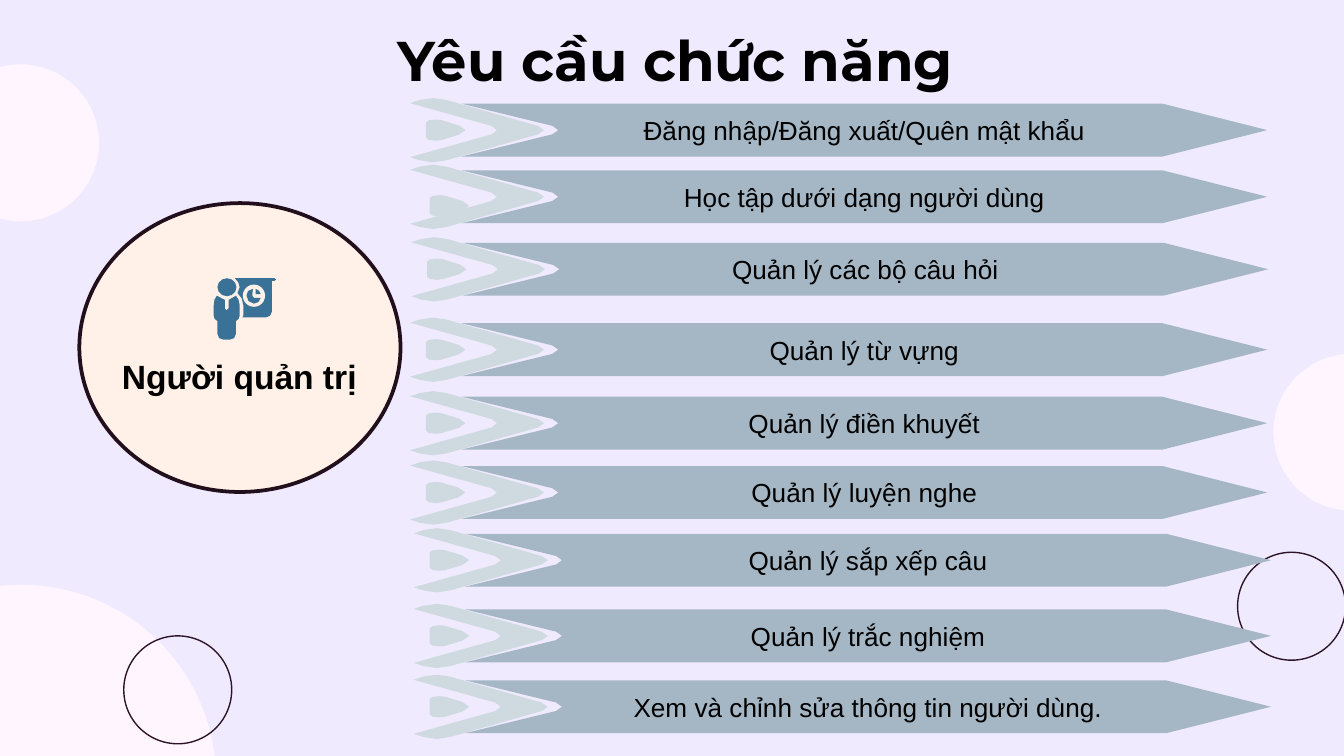
import pptx
import pptx.util
import pptx.dml.color
import pptx.enum.shapes
import pptx.enum.text

Cm = pptx.util.Cm
Pt = pptx.util.Pt
RGBColor = pptx.dml.color.RGBColor
Anchor = pptx.enum.text.MSO_ANCHOR

LAVENDER = RGBColor(0xF0, 0xEA, 0xFE)
PALE_PINK = RGBColor(0xFF, 0xF5, 0xFE)
CREAM = RGBColor(0xFF, 0xF1, 0xE7)
PLUM = RGBColor(0x2C, 0x14, 0x26)
DARK_PLUM = RGBColor(0x21, 0x0F, 0x1C)
ICON_BLUE = RGBColor(0x3A, 0x72, 0x97)
CHEVRON_GREY = RGBColor(0xCF, 0xD9, 0xE0)
BANNER_BLUE = RGBColor(0xA5, 0xB7, 0xC5)
BLACK = RGBColor(0, 0, 0)

TITLE_FONT = {"name": "Montserrat", "size": Pt(30), "bold": True}
ROLE_FONT = {"name": "Arial", "size": Pt(18), "bold": True}
BANNER_FONT = {"name": "Arial", "size": Pt(14), "bold": False}

# Outlines in centimetres: a pair is a straight step,
# six numbers are a Bézier step (two controls, then the end).
# Row outlines are measured from the row's left edge and middle line.
CHEVRON = [
    (0, -0.51), (1.54, -0.08), (1.68, -0.04, 1.68, 0.04, 1.54, 0.08),
    (0, 0.51), (0.18, 0.57), (0.35, 0.62, 0.53, 0.62, 0.69, 0.57),
    (2.42, 0.08), (2.57, 0.04, 2.57, -0.04, 2.42, -0.08),
    (0.69, -0.57), (0.53, -0.62, 0.35, -0.62, 0.18, -0.57),
]
ARROW_TIP = [
    (0.48, -0.2), (0.38, -0.2, 0.3, -0.18, 0.3, -0.14), (0.3, 0.14),
    (0.3, 0.18, 0.38, 0.2, 0.48, 0.2), (0.59, 0.19), (0.92, 0.09),
    (1.09, 0.04, 1.09, -0.04, 0.92, -0.09), (0.59, -0.19),
]
BANNER = [
    (0.97, -0.5), (2.69, -0.08), (2.84, -0.04, 2.84, 0.04, 2.69, 0.08),
    (0.97, 0.5), (14.22, 0.5), (16.2, 0), (14.22, -0.5),
]
PRESENTER_BODY = [
    (4.1, 5.59), (4.06, 5.63, 4.04, 5.69, 4.04, 5.77), (4.04, 5.97),
    (4.04, 6.01, 4.06, 6.05, 4.11, 6.07), (4.11, 6.31),
    (4.11, 6.38, 4.16, 6.42, 4.22, 6.42), (4.35, 6.42),
    (4.41, 6.42, 4.46, 6.38, 4.46, 6.31), (4.46, 6.07),
    (4.5, 6.05, 4.53, 6.01, 4.53, 5.97), (4.53, 5.77),
    (4.53, 5.69, 4.5, 5.63, 4.46, 5.59), (4.32, 5.67),
    (4.32, 5.83), (4.32, 5.88, 4.25, 5.88, 4.25, 5.83), (4.25, 5.67),
]
BOARD = [
    (4.44, 5.26), (4.5, 5.31, 4.53, 5.37, 4.53, 5.43),
    (4.49, 5.54), (4.56, 5.6, 4.6, 5.68, 4.6, 5.77),
    (4.6, 5.97), (4.58, 6), (5.03, 6), (5.09, 6, 5.14, 5.95, 5.14, 5.89),
    (5.14, 5.31), (5.19, 5.31), (5.23, 5.31, 5.23, 5.26, 5.19, 5.26),
]
CLOCK_BODY = [
    (4.78, 5.46), (4.7, 5.47, 4.66, 5.52, 4.66, 5.59),
    (4.66, 5.67, 4.72, 5.74, 4.8, 5.74), (4.86, 5.74, 4.92, 5.7, 4.93, 5.63),
    (4.8, 5.63), (4.77, 5.59),
]
CLOCK_SLICE = [
    (4.83, 5.46), (4.83, 5.56), (4.93, 5.56),
    (4.92, 5.51, 4.88, 5.47, 4.83, 5.46),
]


def add_outline(shapes, steps, color, left=0, middle=0):
    """Draw a filled closed outline, with each Bézier step cut into two lines."""
    points = []
    for step in steps:
        if len(step) == 6:
            x0, y0 = points[-1]
            x1, y1, x2, y2, x3, y3 = step
            points.append(((x0 + 3 * x1 + 3 * x2 + x3) / 8,
                           (y0 + 3 * y1 + 3 * y2 + y3) / 8))
        points.append(step[-2:])
    vertices = [(Cm(left + x), Cm(middle + y)) for x, y in points]
    builder = shapes.build_freeform(*vertices[0])
    builder.add_line_segments(vertices[1:], close=True)
    shape = builder.convert_to_shape()
    shape.shadow.inherit = False
    shape.fill.solid()
    shape.fill.fore_color.rgb = color
    shape.line.fill.background()
    return shape


def write_text(shape, text, font_format, anchor):
    frame = shape.text_frame
    frame.word_wrap = True
    frame.vertical_anchor = anchor
    for side in ("left", "right", "top", "bottom"):
        setattr(frame, "margin_" + side, Cm(0.25))
    paragraph = frame.paragraphs[0]
    paragraph.alignment = pptx.enum.text.PP_ALIGN.CENTER
    run = paragraph.add_run()
    run.text = text
    for name, value in font_format.items():
        setattr(run.font, name, value)
    run.font.color.rgb = BLACK


presentation = pptx.Presentation()
presentation.slide_width = Cm(25.4)
presentation.slide_height = Cm(14.29)
slide = presentation.slides.add_slide(presentation.slide_layouts[6])
slide.background.fill.solid()
slide.background.fill.fore_color.rgb = LAVENDER
shapes = slide.shapes

# The board lies behind the clock ring, so it is drawn after the large circles.
# Circles: left, top, width, height, fill, line colour, line width
for left, top, width, height, fill, line, weight in [
    (23.39, 10.44, 2.04, 2.04, None, PLUM, 0.75),
    (24.08, 6.7, 2.94, 2.94, PALE_PINK, PALE_PINK, 0.75),
    (-1.08, 1.23, 2.94, 2.94, PALE_PINK, PALE_PINK, 0.75),
    (1.5, 3.84, 6.07, 5.46, CREAM, DARK_PLUM, 2),
    (-3.25, 11.07, 7.32, 7.32, PALE_PINK, PALE_PINK, 0.75),
    (2.34, 12.02, 2.04, 2.04, None, PLUM, 0.75),
    (4.11, 5.26, 0.36, 0.34, ICON_BLUE, None, 0),
    (4.59, 5.38, 0.42, 0.42, CREAM, None, 0),
]:
    if fill == CREAM and line is None:
        add_outline(shapes, BOARD, ICON_BLUE)
    circle = shapes.add_shape(
        pptx.enum.shapes.MSO_SHAPE.OVAL, Cm(left), Cm(top), Cm(width), Cm(height))
    circle.shadow.inherit = False
    for style, color in ((circle.fill, fill), (circle.line.fill, line)):
        if color is None:
            style.background()
        else:
            style.solid()
            style.fore_color.rgb = color
    if line is not None:
        circle.line.width = Pt(weight)

for outline in (PRESENTER_BODY, CLOCK_BODY, CLOCK_SLICE):
    add_outline(shapes, outline, ICON_BLUE)

# Headings
for text, left, top, width, height, font_format, anchor in [
    ("Yêu cầu chức năng", 2.06, 0.23, 21.41, 1.6, TITLE_FONT, Anchor.TOP),
    ("Người quản trị", 1.5, 6.32, 6.05, 1.42, ROLE_FONT, Anchor.BOTTOM),
]:
    heading = shapes.add_textbox(Cm(left), Cm(top), Cm(width), Cm(height))
    write_text(heading, text, font_format, anchor)

# Requirement rows: text, left edge, middle line, shift of the arrow tip
for text, left, middle, tip_right, tip_down in [
    ("Đăng nhập/Đăng xuất/Quên mật khẩu", 7.75, 2.46, 0, 0),
    ("Học tập dưới dạng người dùng", 7.75, 3.72, 0.07, 0.17),
    ("Quản lý các bộ câu hỏi", 7.77, 5.09, 0, 0),
    ("Quản lý từ vựng", 7.75, 6.61, 0, 0),
    ("Quản lý điền khuyết", 7.75, 8, 0, 0),
    ("Quản lý luyện nghe", 7.75, 9.31, 0, 0),
    ("Quản lý sắp xếp câu", 7.82, 10.59, 0, 0),
    ("Quản lý trắc nghiệm", 7.82, 12.02, 0, 0),
    ("Xem và chỉnh sửa thông tin người dùng.", 7.82, 13.36, 0, 0),
]:
    add_outline(shapes, CHEVRON, CHEVRON_GREY, left, middle)
    add_outline(shapes, ARROW_TIP, CHEVRON_GREY, left + tip_right, middle + tip_down)
    banner = add_outline(shapes, BANNER, BANNER_BLUE, left, middle)
    write_text(banner, text, BANNER_FONT, Anchor.MIDDLE)

presentation.save("out.pptx")
